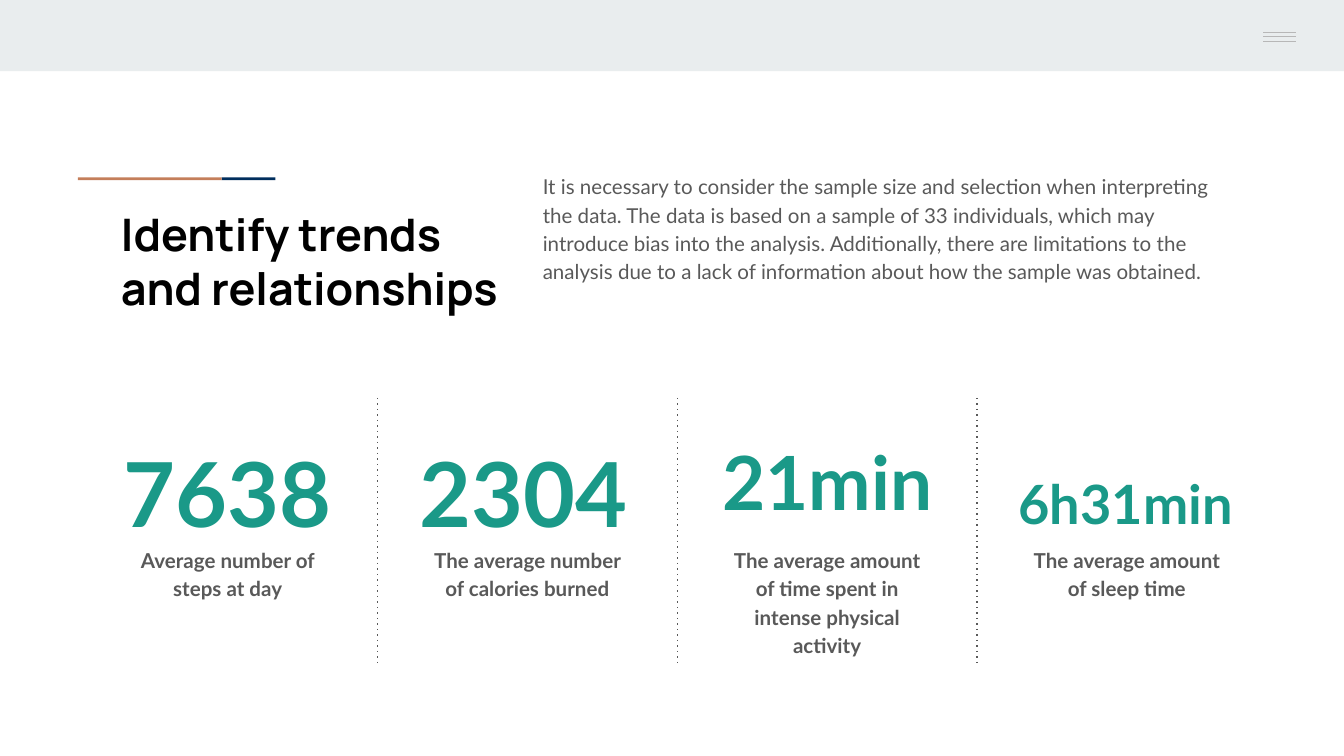
from dataclasses import dataclass

from lxml import etree
from pptx import Presentation
from pptx.dml.color import RGBColor
from pptx.enum.shapes import MSO_CONNECTOR, MSO_SHAPE
from pptx.enum.text import MSO_ANCHOR, MSO_AUTO_SIZE, PP_ALIGN
from pptx.oxml.ns import qn
from pptx.util import Inches, Pt

RECT = MSO_SHAPE.RECTANGLE
STRAIGHT = MSO_CONNECTOR.STRAIGHT
TOP, BOTTOM = MSO_ANCHOR.TOP, MSO_ANCHOR.BOTTOM
LEFT, CENTER = PP_ALIGN.LEFT, PP_ALIGN.CENTER
NO_FIT = MSO_AUTO_SIZE.NONE


@dataclass(frozen=True)
class Theme:
    """Colours, fonts and type sizes of the slide."""
    band: str = "E9EDEE"
    menu: str = "B7B7B7"
    navy: str = "002E5D"
    copper: str = "C47E5A"
    title: str = "000000"
    body: str = "595959"
    stat: str = "1A9988"
    head_font: str = "Manrope"
    text_font: str = "Lato"
    head_size: int = 24
    text_size: int = 11
    rule: float = 0.75


THEME = Theme()
STATS = [
    ("7638", 48, CENTER, TOP, "Average number of steps at day"),
    ("2304", 48, LEFT, TOP, "The average number of calories burned"),
    ("21min", 40, CENTER, TOP,
     "The average amount of time spent in intense physical activity"),
    ("6h31min", 29, LEFT, BOTTOM, "The average amount of sleep time"),
]
INTRO = (
    "It is necessary to consider the sample size and selection when "
    "interpreting the data. The data is based on a sample of 33 individuals, "
    "which may introduce bias into the analysis. Additionally, there are "
    "limitations to the analysis due to a lack of information about how the "
    "sample was obtained."
)


def add_bar(slide, x, y, w, h, color):
    """Add a plain filled rectangle."""
    bar = slide.shapes.add_shape(RECT, Inches(x), Inches(y), Inches(w), Inches(h))
    bar.shadow.inherit = False
    bar.fill.solid()
    bar.fill.fore_color.rgb = RGBColor.from_string(color)
    bar.line.fill.background()


def add_rule(slide, x, y, w, h, color, dotted=False):
    """Add a thin straight line across the given extent."""
    rule = slide.shapes.add_connector(
        STRAIGHT, Inches(x), Inches(y), Inches(x + w), Inches(y + h))
    rule.line.color.rgb = RGBColor.from_string(color)
    rule.line.width = Pt(THEME.rule)
    props = rule._element.spPr
    if dotted:
        etree.SubElement(props.find(qn("a:ln")), qn("a:prstDash"), val="dot")
    etree.SubElement(props, qn("a:effectLst"))


def set_text(shape, text, font, size, color, bold=False, align=LEFT, anchor=TOP):
    """Fill a shape with one formatted paragraph."""
    frame = shape.text_frame
    frame.text = text
    frame.word_wrap = True
    frame.auto_size = NO_FIT
    frame.vertical_anchor = anchor
    frame.margin_left = frame.margin_right = Inches(0.1)
    frame.margin_top = frame.margin_bottom = Inches(0.1)
    para = frame.paragraphs[0]
    para.alignment = align
    style = para.runs[0].font
    style.name, style.size, style.bold = font, Pt(size), bold
    style.color.rgb = RGBColor.from_string(color)
    return para


def add_text(slide, x, y, w, h, text, size, color, **look):
    """Add a text box in the body font."""
    box = slide.shapes.add_textbox(Inches(x), Inches(y), Inches(w), Inches(h))
    para = set_text(box, text, THEME.text_font, size, color, **look)
    para.line_spacing = 1.15
    para.space_after = Pt(16)


def add_band(slide, x, y, w, h):
    """Draw the top band with its menu mark."""
    add_bar(slide, x, y, w, h, THEME.band)
    for dy in (0.24, 0.27, 0.31):
        add_rule(slide, x + w - 0.6, y + dy, 0.24, 0, THEME.menu)


def add_accent(slide, x, y, w, h):
    """Draw the two-tone accent above the title."""
    tail = 0.4
    add_bar(slide, x + w - tail, y, tail, h, THEME.navy)
    add_bar(slide, x, y, w - tail, h, THEME.copper)


def add_title(slide, x, y, w, h):
    """Place and format the title placeholder."""
    title = slide.shapes.title
    title.left, title.top = Inches(x), Inches(y)
    title.width, title.height = Inches(w), Inches(h)
    set_text(title, "Identify trends and relationships", THEME.head_font,
             THEME.head_size, THEME.title, bold=True)


def add_stat(slide, x, y, w, stat):
    """Place a large figure with its caption below."""
    value, size, align, anchor, label = stat
    add_text(slide, x, y, w, 1.04, value, size, THEME.stat,
             bold=True, align=align, anchor=anchor)
    add_text(slide, x + 0.09, y + 0.91, w - 0.18, 0.81, label,
             THEME.text_size, THEME.body, bold=True, align=CENTER)


def add_stats(slide, x, y, w, h):
    """Lay out the figures in equal columns with dotted dividers."""
    gap = 0.42
    col = (w - gap * (len(STATS) - 1)) / len(STATS)
    for i, stat in enumerate(STATS):
        left = x + i * (col + gap)
        if i:
            add_rule(slide, left - gap / 2, y, 0, h, THEME.body, dotted=True)
        add_stat(slide, left, y + 0.08, col, stat)


def main():
    """Build and save the slide."""
    deck = Presentation()
    deck.slide_width = Inches(10)
    deck.slide_height = deck.slide_width * 9 // 16
    slide = deck.slides.add_slide(deck.slide_layouts.get_by_name("Title Only"))
    add_band(slide, 0, 0, 10, 0.53)
    add_accent(slide, 0.58, 1.32, 1.47, 0.02)
    add_title(slide, 0.8, 1.44, 3.06, 1.13)
    add_text(slide, 3.94, 1.17, 5.25, 1.13, INTRO, THEME.text_size, THEME.body)
    add_stats(slide, 0.79, 2.96, 8.5, 2)
    deck.save("out.pptx")


if __name__ == "__main__":
    main()
